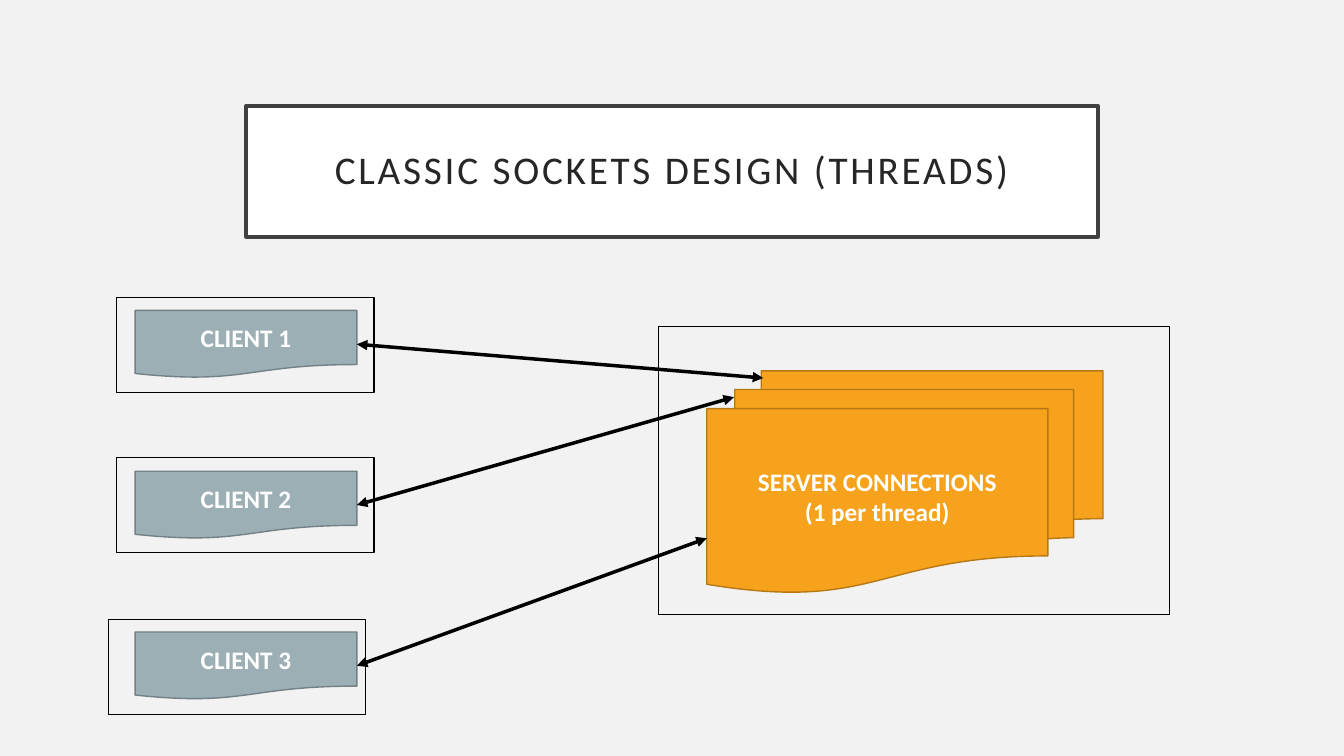
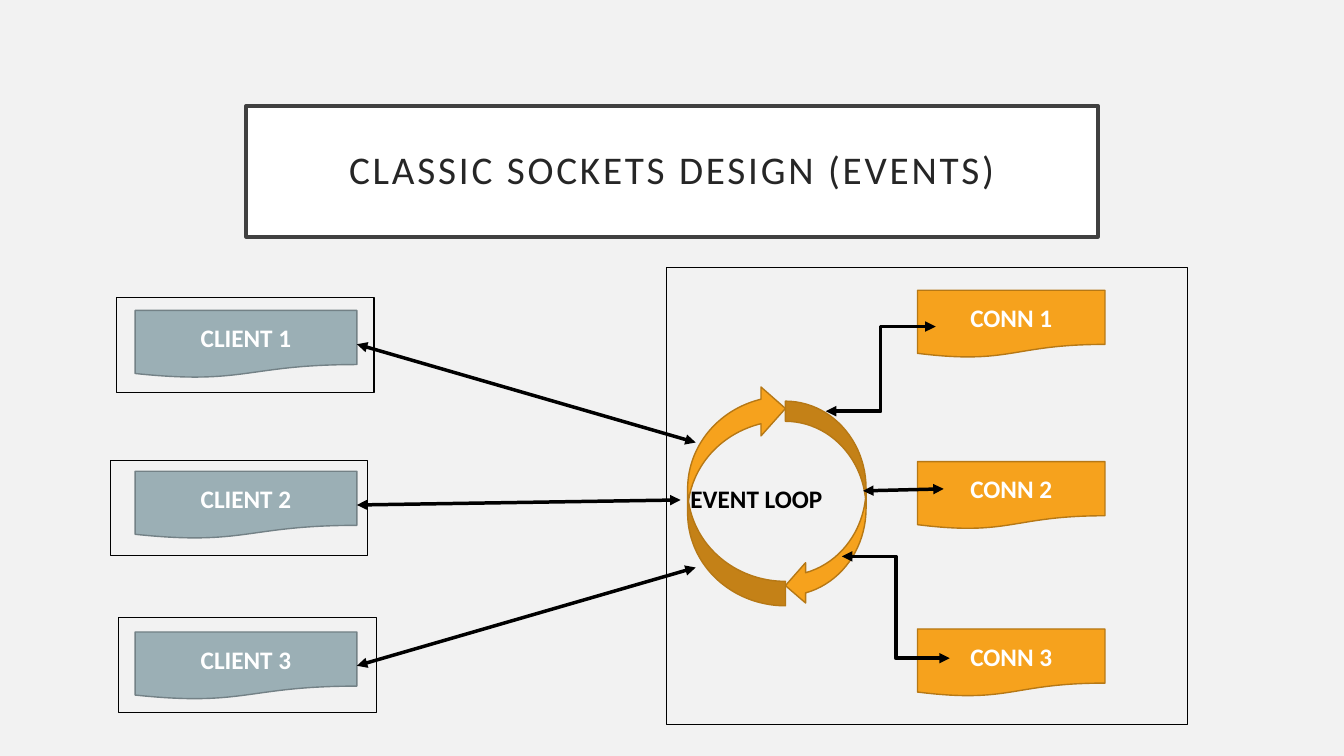
"""Build two slides that compare threaded and event-driven socket designs."""
from lxml.etree import SubElement
from pptx import Presentation
from pptx.dml.color import RGBColor
from pptx.enum.shapes import MSO_CONNECTOR, MSO_SHAPE
from pptx.enum.text import MSO_ANCHOR, MSO_AUTO_SIZE, PP_ALIGN
from pptx.oxml.ns import qn
from pptx.util import Inches, Pt

FONT = "Calibri"
BACKGROUND, WHITE, BLACK = "F2F2F2", "FFFFFF", "000000"
TITLE_LINE, TITLE_TEXT = "404040", "262626"
CLIENT_COLORS = ("9BAFB5", "738186")
SERVER_COLORS = ("F6A21D", "B67815")

TITLE_BOX = (2.44, 1.05, 8.45, 1.3)
CLIENTS = ["CLIENT 1", "CLIENT 2", "CLIENT 3"]
CLIENT_LEFT, CLIENT_TOP, CLIENT_STEP = 1.34, 3.08, 1.595
CLIENT_SIZE = (2.2, 0.67)
CLIENT_FRAME_SIZE = (2.55, 0.94)
RIGHT_SITE = 3

THREADS = {
    "title": "CLASSIC SOCKETS DESIGN (THREADS)",
    "client_targets": [(7.57, 3.75), (7.28, 3.94), (7.01, 5.34)],
    "client_frames": [(1.16, 2.95), (1.16, 4.54), (1.08, 6.15)],
    "server_frame": (6.53, 3.24, 5.07, 2.86),
}
SERVER_BOX = (7.01, 3.68, 3.93, 2.2)
SERVER_LINES = ["SERVER CONNECTIONS", "(1 per thread)"]

EVENTS = {
    "title": "CLASSIC SOCKETS DESIGN (EVENTS)",
    "client_targets": [(6.9, 4.39), (6.75, 4.96), (6.9, 5.63)],
    "client_frames": [(1.16, 2.95), (1.1, 4.57), (1.18, 6.13)],
    "server_frame": (6.61, 2.65, 5.17, 4.54),
}
LOOP_ARROWS = [((7.79, 3.98, 0.8, 2.03), 0), ((6.82, 3.81, 0.97, 2.2), 180)]
LOOP_LABEL, LOOP_LABEL_BOX = "EVENT LOOP", (6.75, 4.75, 1.93, 0.4)
CONNECTION_LEFT, CONNECTION_SIZE = 9.1, (1.86, 0.67)
CONNECTIONS = [("CONN 1", 2.88), ("CONN 2", 4.58), ("CONN 3", 6.24)]
LOOP_LINKS = [
    (MSO_CONNECTOR.ELBOW, (8.19, 4.08), (9.28, 3.24)),
    (MSO_CONNECTOR.STRAIGHT, (8.56, 4.87), (9.36, 4.85)),
    (MSO_CONNECTOR.ELBOW, (8.35, 5.52), (9.42, 6.53)),
]


def rgb(value):
    """Turn a hex string into a colour."""
    return RGBColor.from_string(value)


def inches(values):
    """Turn plain numbers into lengths."""
    return [Inches(value) for value in values]


def paint(shape, fill, line, width):
    """Set the fill and outline of a shape."""
    if fill:
        shape.fill.solid()
        shape.fill.fore_color.rgb = rgb(fill)
    else:
        shape.fill.background()
    shape.line.color.rgb = rgb(line)
    shape.line.width = Pt(width)


def write(shape, lines, color, size=18, bold=True, align=PP_ALIGN.CENTER):
    """Write one paragraph per line and return the runs."""
    frame = shape.text_frame
    frame.word_wrap = True
    runs = []
    for index, line in enumerate(lines):
        paragraph = frame.add_paragraph() if index else frame.paragraphs[0]
        paragraph.alignment = align
        run = paragraph.add_run()
        run.text = line
        run.font.name = FONT
        run.font.size = Pt(size)
        run.font.bold = bold
        run.font.color.rgb = rgb(color)
        runs.append(run)
    return runs


def add_box(slide, kind, box, colors, lines=(), width=1):
    """Add a preset shape with optional centred text."""
    shape = slide.shapes.add_shape(kind, *inches(box))
    shape.shadow.inherit = False
    paint(shape, *colors, width)
    shape.text_frame.vertical_anchor = MSO_ANCHOR.MIDDLE
    write(shape, lines, WHITE)
    return shape


def add_frame(slide, box):
    """Add a thin unfilled rectangle."""
    add_box(slide, MSO_SHAPE.RECTANGLE, box, (None, BLACK), width=0.75)


def add_arrow(slide, kind, start, end):
    """Add a connector with an arrowhead at both ends."""
    connector = slide.shapes.add_connector(kind, *inches(start + end))
    connector.line.color.rgb = rgb(BLACK)
    connector.line.width = Pt(2.5)
    outline = connector.line._get_or_add_ln()
    for tag in ("a:headEnd", "a:tailEnd"):
        SubElement(outline, qn(tag), type="triangle")
    SubElement(connector._element.spPr, qn("a:effectLst"))
    return connector


def add_title(slide, text):
    """Format and fill the title placeholder."""
    title = slide.shapes.title
    title.left, title.top, title.width, title.height = inches(TITLE_BOX)
    paint(title, WHITE, TITLE_LINE, 2.5)
    frame = title.text_frame
    frame.auto_size = MSO_AUTO_SIZE.NONE
    frame.vertical_anchor = MSO_ANCHOR.MIDDLE
    frame.margin_left = frame.margin_right = Inches(0.2)
    frame.margin_top = frame.margin_bottom = Inches(0.2)
    for run in write(title, [text], TITLE_TEXT, 28, False):
        run.font._element.set("spc", "200")
    frame.paragraphs[0].line_spacing = 0.9


def add_clients(slide, targets):
    """Add the client column and its arrows to the server."""
    width, height = CLIENT_SIZE
    for index, (name, target) in enumerate(zip(CLIENTS, targets)):
        top = CLIENT_TOP + index * CLIENT_STEP
        client = add_box(slide, MSO_SHAPE.FLOWCHART_DOCUMENT,
                         (CLIENT_LEFT, top, width, height), CLIENT_COLORS, [name])
        start = (CLIENT_LEFT + width, top + height / 2)
        arrow = add_arrow(slide, MSO_CONNECTOR.STRAIGHT, start, target)
        arrow.begin_connect(client, RIGHT_SITE)


def add_server(slide):
    """Add the stack of threaded server connections."""
    add_box(slide, MSO_SHAPE.FLOWCHART_MULTIDOCUMENT, SERVER_BOX,
            SERVER_COLORS, SERVER_LINES)


def add_event_loop(slide):
    """Add the event loop and the connections it serves."""
    for box, rotation in LOOP_ARROWS:
        arrow = add_box(slide, MSO_SHAPE.CURVED_LEFT_ARROW, box, SERVER_COLORS)
        arrow.rotation = rotation
    label = slide.shapes.add_textbox(*inches(LOOP_LABEL_BOX))
    write(label, [LOOP_LABEL], BLACK, align=PP_ALIGN.LEFT)
    for name, top in CONNECTIONS:
        add_box(slide, MSO_SHAPE.FLOWCHART_DOCUMENT,
                (CONNECTION_LEFT, top, *CONNECTION_SIZE), SERVER_COLORS, [name])
    for link in LOOP_LINKS:
        add_arrow(slide, *link)


def add_design(presentation, design, add_server_side):
    """Add one slide with clients, a server side and frames."""
    slide = presentation.slides.add_slide(presentation.slide_layouts[5])
    add_title(slide, design["title"])
    add_server_side(slide)
    add_clients(slide, design["client_targets"])
    for corner in design["client_frames"]:
        add_frame(slide, corner + CLIENT_FRAME_SIZE)
    add_frame(slide, design["server_frame"])


def main():
    """Build and save the presentation."""
    presentation = Presentation()
    presentation.slide_width, presentation.slide_height = inches((13.33, 7.5))
    background = presentation.slide_master.background.fill
    background.solid()
    background.fore_color.rgb = rgb(BACKGROUND)
    add_design(presentation, THREADS, add_server)
    add_design(presentation, EVENTS, add_event_loop)
    presentation.save("out.pptx")


if __name__ == "__main__":
    main()
